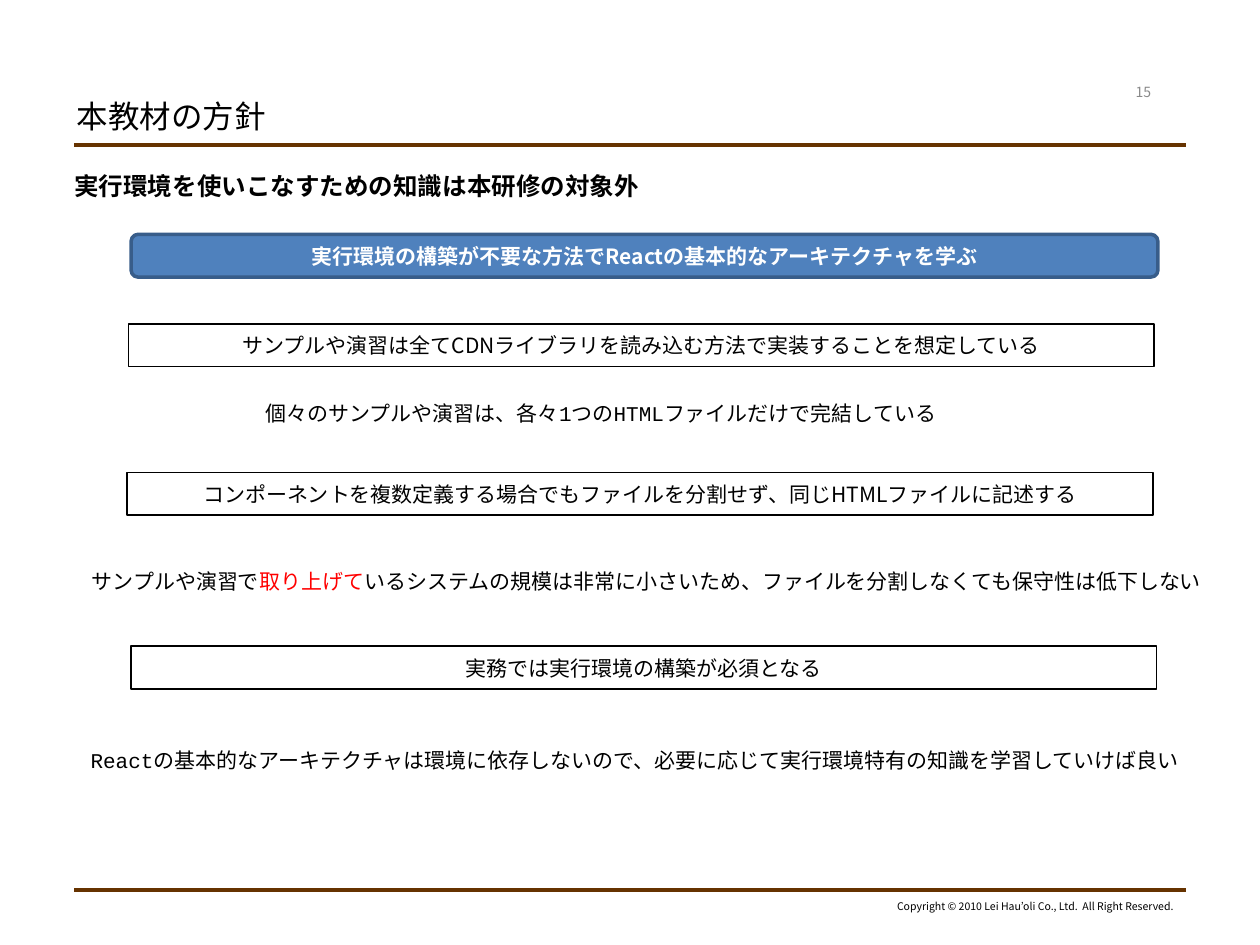
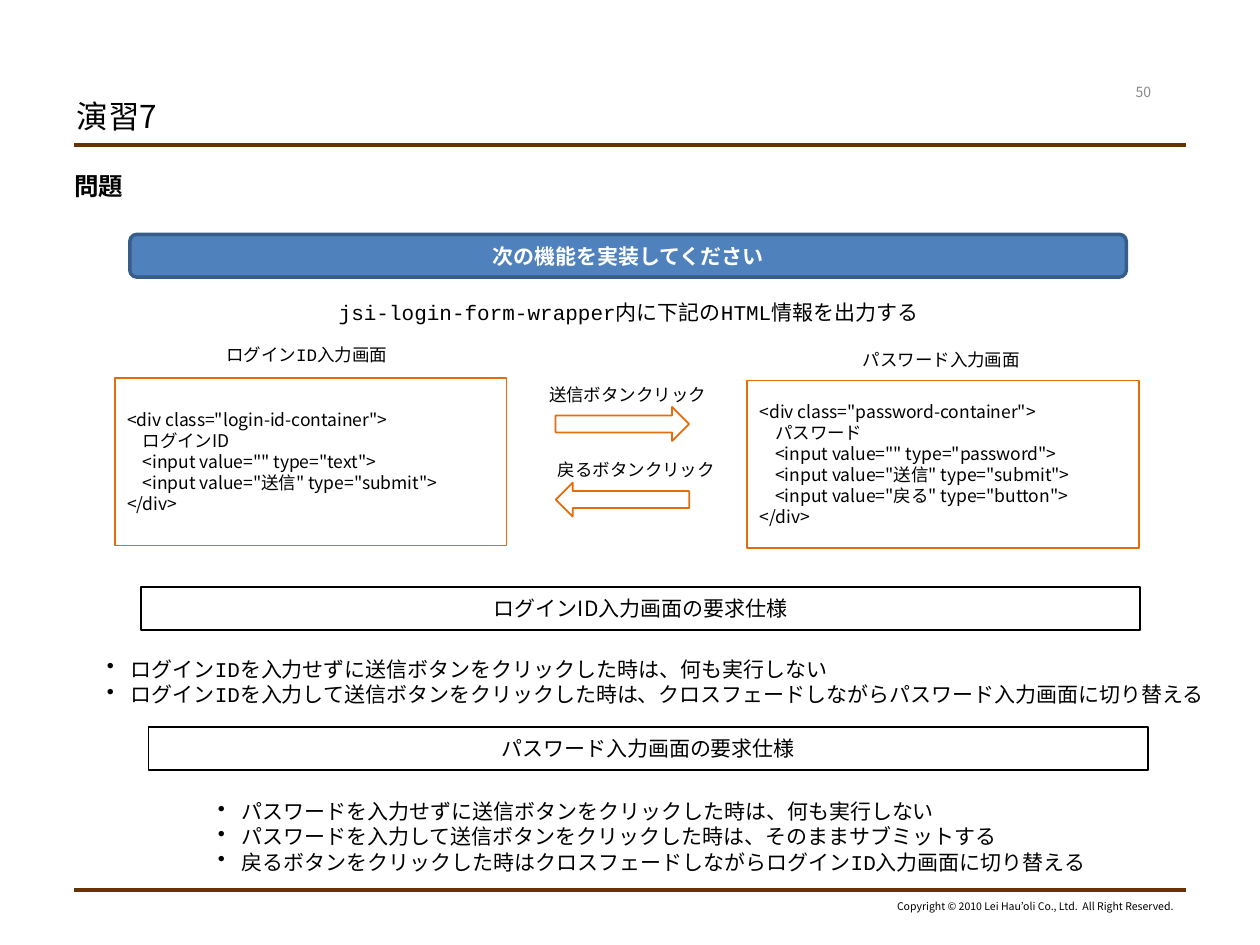
from lxml.etree import SubElement
from pptx import Presentation
from pptx.dml.color import RGBColor
from pptx.enum.shapes import MSO_CONNECTOR, MSO_SHAPE as Preset
from pptx.enum.text import MSO_ANCHOR, MSO_AUTO_SIZE as AutoSize, PP_ALIGN as Align
from pptx.oxml.ns import qn
from pptx.util import Inches, Pt

SANS, MONO = "Noto Sans CJK JP", "Courier New"
BLACK, WHITE, RED, GREY = "000000", "FFFFFF", "FF0000", "898989"
BROWN, BLUE, NAVY, ORANGE = "663300", "4F81BD", "385D8A", "E46C0A"
COPYRIGHT = "Copyright © 2010 Lei Hau’oli Co., Ltd.  All Right Reserved."
rgb = RGBColor.from_string


def write(shape, lines, size, font=SANS, color=BLACK, align=Align.LEFT, bold=False, bullet=False):
    """Fill a shape with paragraphs; in a line given as a tuple, every second part is red."""
    frame = shape.text_frame
    for number, line in enumerate(lines):
        para = frame.add_paragraph() if number else frame.paragraphs[0]
        for index, part in enumerate((line,) if isinstance(line, str) else line):
            span = para.add_run()
            span.text = part
            if index % 2:
                span.font.color.rgb = rgb(RED)
        para.alignment = align
        para.space_before = Pt(0)
        properties = para._p.get_or_add_pPr()
        indent = Inches(0.19) if bullet else 0
        properties.set("marL", str(indent))
        properties.set("indent", str(-indent))
        if bullet:
            SubElement(properties, qn("a:buChar"), char="•")
        else:
            SubElement(properties, qn("a:buNone"))
        para.font.size = Pt(size)
        para.font.bold = bold
        para.font.color.rgb = rgb(color)
        para.font.name = font
        SubElement(properties.find(qn("a:defRPr")), qn("a:ea"), typeface=SANS)


def add_box(page, place, line, preset=Preset.RECTANGLE, fill=None, weight=1):
    box = page.shapes.add_shape(preset, *map(Inches, place))
    box.shadow.inherit = False
    if fill:
        box.fill.solid()
        box.fill.fore_color.rgb = rgb(fill)
    else:
        box.fill.background()
    box.line.color.rgb = rgb(line)
    box.line.width = Pt(weight)
    return box


# Banner is (left, width, text); headings are (left, top, width, text);
# notes are (place, size, bulleted, lines); screens are (left, top, code lines).
slides = [
    {
        "title": "本教材の方針",
        "number": "15",
        "subject": "実行環境を使いこなすための知識は本研修の対象外",
        "banner": (1.04, 8.15, "実行環境の構築が不要な方法でReactの基本的なアーキテクチャを学ぶ"),
        "headings": [
            (1.02, 2.57, 8.14, "サンプルや演習は全てCDNライブラリを読み込む方法で実装することを想定している"),
            (1.01, 3.75, 8.14, "コンポーネントを複数定義する場合でもファイルを分割せず、同じHTMLファイルに記述する"),
            (1.04, 5.13, 8.14, "実務では実行環境の構築が必須となる"),
        ],
        "notes": [
            ((2.01, 3.13, 5.75, 0.3), 12, False,
             ["個々のサンプルや演習は、各々1つのHTMLファイルだけで完結している"]),
            ((0.63, 4.46, 9.08, 0.3), 12, False,
             [("サンプルや演習で", "取り上げて",
               "いるシステムの規模は非常に小さいため、ファイルを分割しなくても保守性は低下しない")]),
            ((0.62, 5.88, 8.95, 0.3), 12, False,
             ["Reactの基本的なアーキテクチャは環境に依存しないので、必要に応じて実行環境特有の知識を学習していけば良い"]),
        ],
        "screens": [],
        "arrows": [],
    },
    {
        "title": "演習7",
        "number": "50",
        "subject": "問題",
        "banner": (1.03, 7.91, "次の機能を実装してください"),
        "headings": [
            (1.12, 4.66, 7.93, "ログインID入力画面の要求仕様"),
            (1.18, 5.77, 7.93, "パスワード入力画面の要求仕様"),
        ],
        "notes": [
            ((2.59, 2.33, 4.97, 0.3), 12, False, ["jsi-login-form-wrapper内に下記のHTML情報を出力する"]),
            ((1.7, 2.68, 1.6, 0.27), 10, False, ["ログインID入力画面"]),
            ((6.75, 2.72, 1.5, 0.27), 10, False, ["パスワード入力画面"]),
            ((4.26, 3, 1.5, 0.27), 10, False, ["送信ボタンクリック"]),
            ((4.33, 3.59, 1.5, 0.27), 10, False, ["戻るボタンクリック"]),
            ((0.75, 5.16, 9.05, 0.5), 12, True, [
                "ログインIDを入力せずに送信ボタンをクリックした時は、何も実行しない",
                "ログインIDを入力して送信ボタンをクリックした時は、クロスフェードしながらパスワード入力画面に切り替える",
            ]),
            ((1.63, 6.29, 7.25, 0.7), 12, True, [
                "パスワードを入力せずに送信ボタンをクリックした時は、何も実行しない",
                "パスワードを入力して送信ボタンをクリックした時は、そのままサブミットする",
                "戻るボタンをクリックした時はクロスフェードしながらログインID入力画面に切り替える",
            ]),
        ],
        "screens": [
            (0.91, 3, [
                '<div class="login-id-container">',
                "    ログインID",
                '    <input value="" type="text">',
                '    <input value="送信" type="submit">',
                "</div>",
            ]),
            (5.93, 3.02, [
                '<div class="password-container">',
                "    パスワード",
                '    <input value="" type="password">',
                '    <input value="送信" type="submit">',
                '    <input value="戻る" type="button">',
                "</div>",
            ]),
        ],
        "arrows": [(3.23, 0), (3.83, 180)],
    },
]

deck = Presentation()
deck.slide_width, deck.slide_height = Inches(10), Inches(7.5)

for content in slides:
    page = deck.slides.add_slide(deck.slide_layouts[1])

    for top in (1.15, 7.06):
        rule = page.shapes.add_connector(
            MSO_CONNECTOR.STRAIGHT, Inches(0.59), Inches(top), Inches(9.41), Inches(top))
        rule.line.color.rgb = rgb(BROWN)
        rule.line.width = Pt(2.25)
        SubElement(rule._element.spPr, qn("a:effectLst"))

    footer = page.shapes.add_textbox(*map(Inches, (6.99, 7.09, 2.42, 0.2)))
    footer.text_frame.word_wrap = False
    write(footer, [COPYRIGHT], 6, align=Align.RIGHT)

    title, body = page.placeholders
    title.left, title.top, title.width, title.height = map(Inches, (0.51, 0.76, 6.62, 0.32))
    title.text_frame.vertical_anchor = MSO_ANCHOR.MIDDLE
    write(title, [content["title"]], 18)
    body.left, body.top, body.width, body.height = map(Inches, (0.49, 1.36, 9, 5.55))
    body.text_frame.margin_top = 0
    write(body, [content["subject"]], 14, bold=True)
    for holder in (title, body):
        holder.text_frame.auto_size = AutoSize.NONE

    number = page.shapes.add_textbox(*map(Inches, (8.78, 0.61, 0.59, 0.24)))
    number.text_frame.word_wrap = True
    number.text_frame.vertical_anchor = MSO_ANCHOR.MIDDLE
    write(number, [content["number"]], 8, color=GREY, align=Align.CENTER)

    left, width, text = content["banner"]
    banner = add_box(page, (left, 1.86, width, 0.34), NAVY, Preset.ROUNDED_RECTANGLE, BLUE, 2)
    write(banner, [text], 12, color=WHITE, align=Align.CENTER, bold=True)

    for left, top, width, text in content["headings"]:
        heading = add_box(page, (left, top, width, 0.34), BLACK)
        write(heading, [text], 12, align=Align.CENTER)

    for left, top, code in content["screens"]:
        write(add_box(page, (left, top, 3.11, 1.33), ORANGE), code, 10)

    for top, angle in content["arrows"]:
        arrow = add_box(page, (4.41, top, 1.06, 0.27), ORANGE, Preset.RIGHT_ARROW)
        arrow.rotation = angle

    for place, size, bulleted, lines in content["notes"]:
        note = page.shapes.add_textbox(*map(Inches, place))
        note.text_frame.word_wrap = True
        note.text_frame.auto_size = AutoSize.NONE
        write(note, lines, size, MONO, bullet=bulleted)

deck.save("out.pptx")
